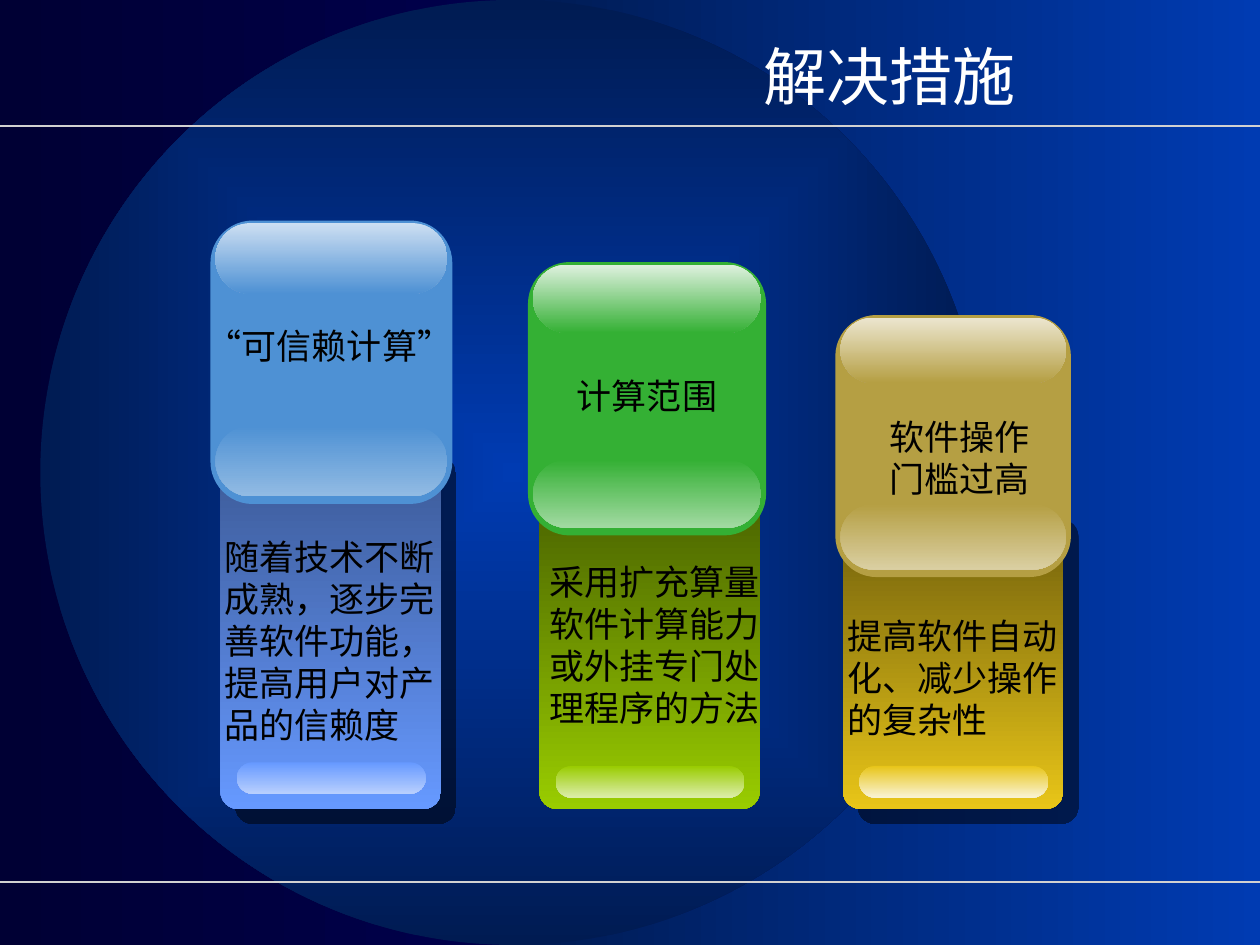
from lxml import etree
from pptx import Presentation
from pptx.dml.color import RGBColor
from pptx.enum.shapes import MSO_CONNECTOR, MSO_SHAPE
from pptx.enum.text import MSO_ANCHOR, PP_ALIGN
from pptx.oxml import parse_xml
from pptx.oxml.ns import qn
from pptx.util import Inches, Pt

RECT, OVAL, ROUND = MSO_SHAPE.RECTANGLE, MSO_SHAPE.OVAL, MSO_SHAPE.ROUNDED_RECTANGLE
STRAIGHT = MSO_CONNECTOR.STRAIGHT
LEFT, CENTER, RIGHT = PP_ALIGN.LEFT, PP_ALIGN.CENTER, PP_ALIGN.RIGHT
TOP, MIDDLE = MSO_ANCHOR.TOP, MSO_ANCHOR.MIDDLE
A_NS = 'xmlns:a="http://schemas.openxmlformats.org/drawingml/2006/main"'
LATIN, EAST_ASIAN = "Arial", "Noto Sans CJK SC"
BODY_BOTTOM, BODY_WIDTH = 6.42, 1.75

# body and cap: left, top / left, top, width, height; texts: left, top, width
CARDS = [
    dict(body=(1.75, 3.5), body_colors=("3A5792", "6699FF"), shadow=True,
         cap=(1.67, 1.75, 1.92, 2.25), cap_colors=("CDDFF2", "4E91D4", "92BBE3"),
         pill_top=6.05, pill_color="B8CFFE",
         label=["“可信赖计算”"], label_at=(1.54, 2.53, 2.15),
         lines=["随着技术不断", "成熟，逐步完", "善软件功能，", "提高用户对产", "品的信赖度"],
         lines_at=(1.68, 4.2, 1.87)),
    dict(body=(6.69, 4), body_colors=("6A5A0B", "E8C518"), shadow=True,
         cap=(6.63, 2.5, 1.87, 2.08), cap_colors=("ECE6D0", "B59F43", "DACFA2"),
         pill_top=6.08, pill_color="F9F3D4",
         label=["软件操作", "门槛过高"], label_at=(6.96, 3.25, 1.31),
         lines=["提高软件自动", "化、减少操作", "的复杂性"],
         lines_at=(6.63, 4.83, 1.87)),
    dict(body=(4.28, 3.83), body_colors=("465E00", "99CC00"), shadow=False,
         cap=(4.19, 2.08, 1.89, 2.17), cap_colors=("DFF1DF", "34B034", "A2DAA2"),
         pill_top=6.08, pill_color="DCEDA9",
         label=["计算范围"], label_at=(4.48, 2.92, 1.31),
         lines=["采用扩充算量", "软件计算能力", "或外挂专门处", "理程序的方法"],
         lines_at=(4.26, 4.4, 1.87)),
]


def color(value):
    return RGBColor.from_string(value)


def set_fill(fill, colors, angle=270):
    """One colour gives a solid fill, two a gradient (270 runs downwards)."""
    if len(colors) == 1:
        fill.solid()
        fill.fore_color.rgb = color(colors[0])
        return
    fill.gradient()
    fill.gradient_angle = angle
    for stop, value, position in zip(fill.gradient_stops, colors, (0, 1)):
        stop.color.rgb = color(value)
        stop.position = position


def add_shape(s, kind, box, *colors, angle=270, radius=None):
    sp = s.shapes.add_shape(kind, *map(Inches, box))
    sp.shadow.inherit = False
    sp.line.fill.background()
    set_fill(sp.fill, colors, angle)
    if radius is not None:
        sp.adjustments[0] = radius
    return sp


def add_rule(s, y):
    line = s.shapes.add_connector(STRAIGHT, 0, Inches(y), Inches(10), Inches(y))
    line.line.color.rgb = color("D1D1D1")
    line.line.width = Pt(1)
    etree.SubElement(line._element.spPr, qn("a:effectLst"))


def add_text(s, lines, box, size=20, text_color="000000", align=LEFT, anchor=TOP):
    tf = s.shapes.add_textbox(*map(Inches, box)).text_frame
    tf.word_wrap = False
    tf.vertical_anchor = anchor
    for i, text in enumerate(lines):
        p = tf.paragraphs[0] if i == 0 else tf.add_paragraph()
        p.alignment = align
        r = p.add_run()
        r.text = text
        r.font.size = Pt(size)
        r.font.name = LATIN
        r.font.color.rgb = color(text_color)
        etree.SubElement(r._r.get_or_add_rPr(), qn("a:ea"), typeface=EAST_ASIAN)


def center_gradient(sp):
    """Make the gradient run outwards from the middle of the shape."""
    grad = sp._element.spPr.find(qn("a:gradFill"))
    grad.replace(grad.find(qn("a:lin")), parse_xml(
        f'<a:path {A_NS} path="rect">'
        '<a:fillToRect l="50000" t="50000" r="50000" b="50000"/></a:path>'))


def add_drop_shadow(sp):
    effects = sp._element.spPr.find(qn("a:effectLst"))
    effects.append(parse_xml(
        f'<a:outerShdw {A_NS} dist="{Pt(12.1)}" dir="2700000" algn="ctr" rotWithShape="0">'
        '<a:srgbClr val="000000"><a:alpha val="50000"/></a:srgbClr></a:outerShdw>'))


def text_box(at, lines):
    return (*at, 0.1 + len(lines) / 3)


def add_card(s, card):
    # Lower body with its text
    x, y = card["body"]
    body = add_shape(s, ROUND, (x, y, BODY_WIDTH, BODY_BOTTOM - y),
                     *card["body_colors"], radius=0.08)
    if card["shadow"]:
        add_drop_shadow(body)
    add_text(s, card["lines"], text_box(card["lines_at"], card["lines"]))

    # Cap with a gloss at each end
    left, top, width, height = card["cap"]
    light, main_color, soft = card["cap_colors"]
    add_shape(s, ROUND, card["cap"], main_color, radius=0.175)
    gloss = height / 4
    gloss_left, gloss_width = left + 0.04, width - 0.08
    add_shape(s, ROUND, (gloss_left, top + height - 0.06 - gloss, gloss_width, gloss),
              main_color, soft, radius=0.5)
    add_shape(s, ROUND, (gloss_left, top + 0.02, gloss_width, gloss),
              light, main_color, radius=0.5)
    add_text(s, card["label"], text_box(card["label_at"], card["label"]), align=CENTER)

    # Highlight at the foot of the body
    add_shape(s, ROUND, (x + 0.13, card["pill_top"], 1.5, 0.25),
              card["body_colors"][1], card["pill_color"], radius=0.5)


def add_backdrop(s):
    set_fill(s.background.fill, ("000072", "000034"), angle=180)
    add_shape(s, RECT, (4.08, 0, 5.92, 7.5), "003BB2", "001B52", angle=180)
    center_gradient(add_shape(s, OVAL, (0.32, 0, 7.5, 7.5), "003BB2", "001B52"))
    for y in (1, 7):
        add_rule(s, y)


def main():
    prs = Presentation()
    prs.slide_width, prs.slide_height = Inches(10), Inches(7.5)
    s = prs.slides.add_slide(prs.slide_layouts[6])
    add_backdrop(s)
    add_text(s, ["解决措施"], (0.33, 0.14, 7.83, 0.92), size=36,
             text_color="FFFFFF", align=RIGHT, anchor=MIDDLE)
    for card in CARDS:
        add_card(s, card)
    prs.save("out.pptx")


if __name__ == "__main__":
    main()
